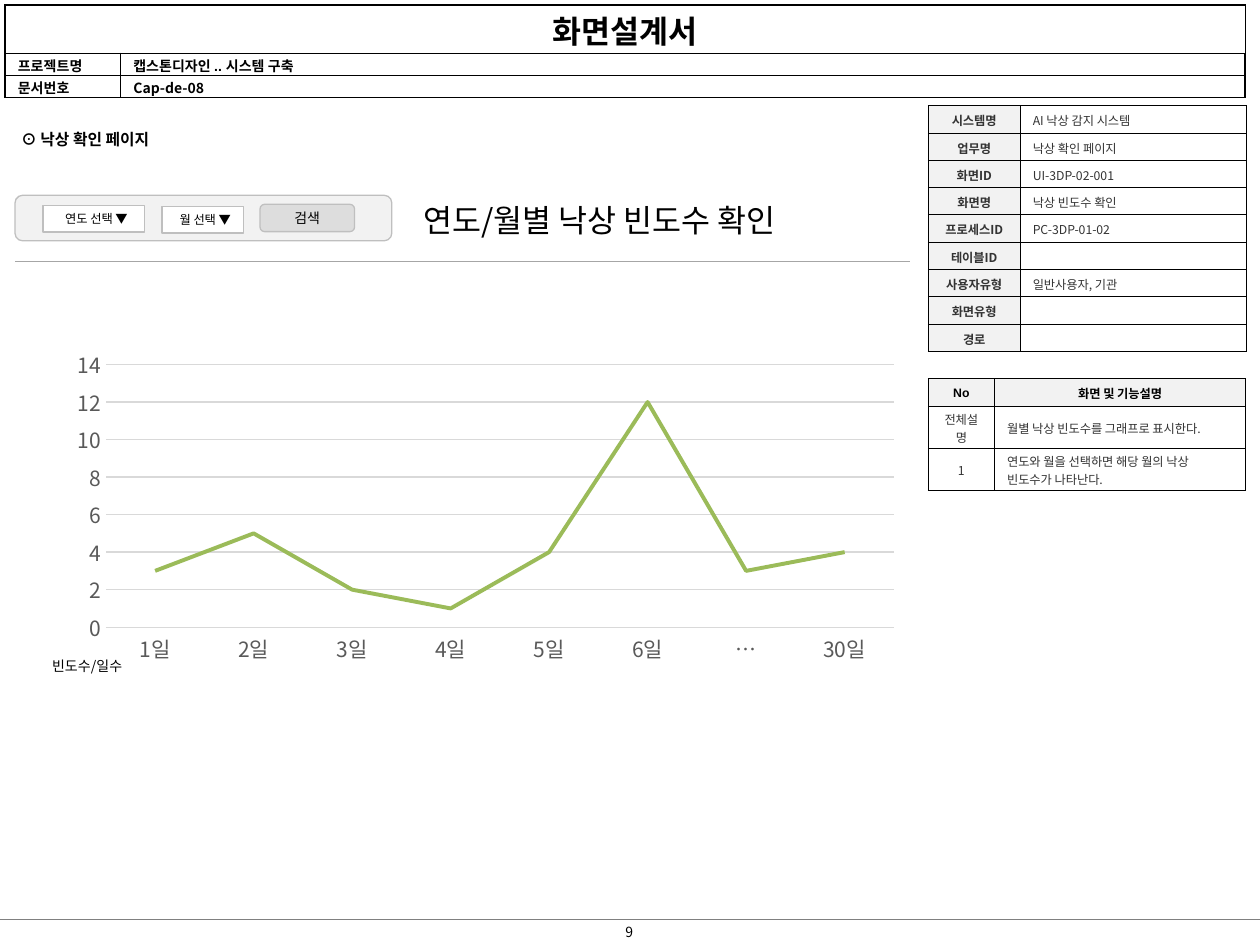
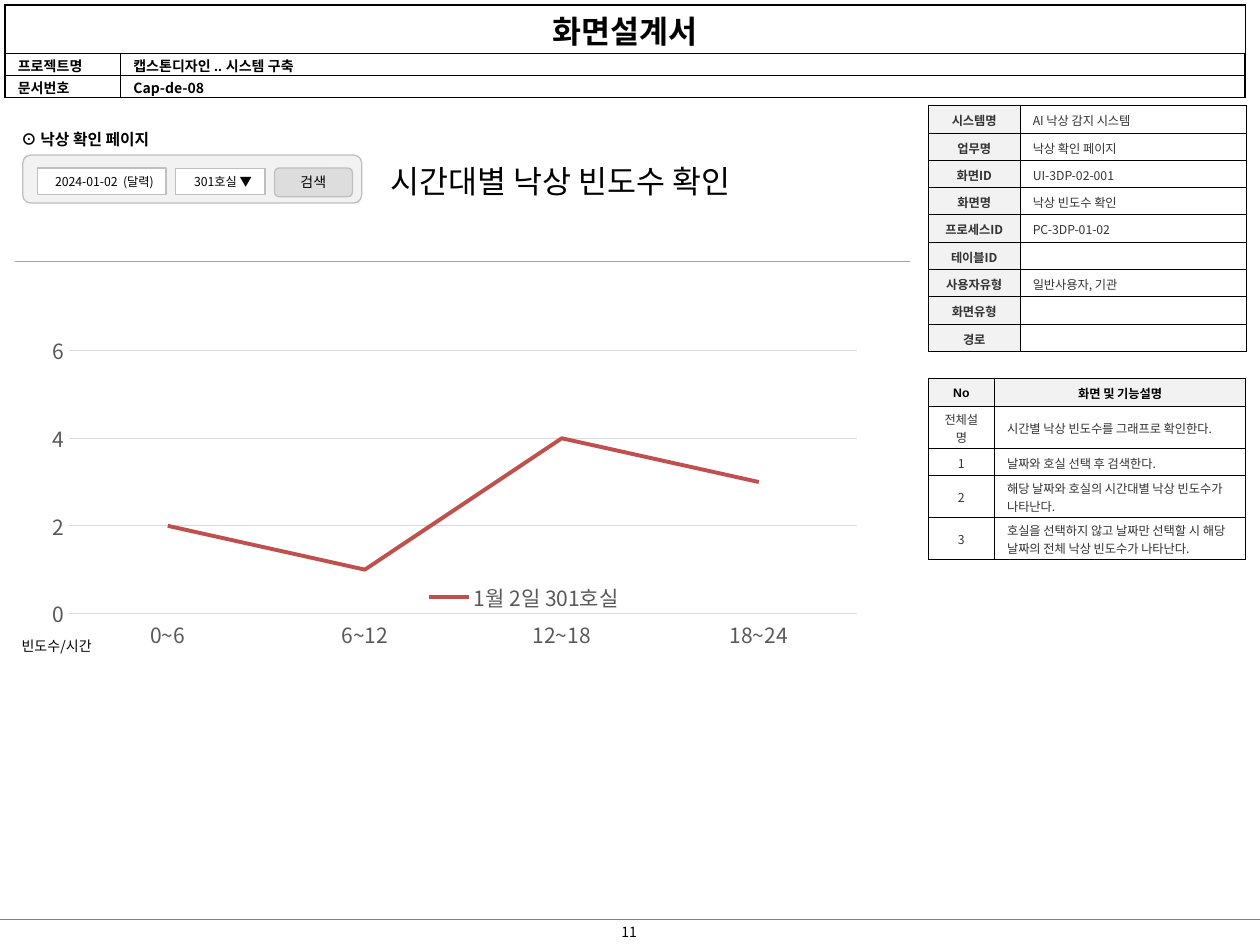
import pptx
import pptx.chart.data
import pptx.dml.color
import pptx.enum.chart
import pptx.enum.shapes
import pptx.enum.text
import pptx.oxml
import pptx.oxml.ns
import pptx.util
from lxml import etree

Pt = pptx.util.Pt
qn = pptx.oxml.ns.qn
Shape = pptx.enum.shapes.MSO_SHAPE
Align = pptx.enum.text.PP_ALIGN
Anchor = pptx.enum.text.MSO_ANCHOR
Mark = pptx.enum.chart

# Shared content and style
NOTO = "Noto Sans CJK KR"
HEX = {"ink": "000000", "text": "333333", "axis": "595959", "white": "FFFFFF",
       "panel": "F2F2F2", "button": "DDDDDD", "edge": "BFBFBF", "rule": "A6A6A6",
       "foot": "808080", "grid": "D9D9D9", "green": "9BBB59", "red": "C0504D"}
HEADER = [("화면설계서", ""), ("프로젝트명", "캡스톤디자인 .. 시스템 구축"),
          ("문서번호", "Cap-de-08")]
HEADING = "⊙ 낙상 확인 페이지"
INFO = [("시스템명", "AI 낙상 감지 시스템"), ("업무명", "낙상 확인 페이지"),
        ("화면ID", "UI-3DP-02-001"), ("화면명", "낙상 빈도수 확인"),
        ("프로세스ID", "PC-3DP-01-02"), ("테이블ID", ""),
        ("사용자유형", "일반사용자, 기관"), ("화면유형", ""), ("경로", "")]
NOTE_HEAD = ("No", "화면 및 기능설명")
ONE, TWO = 15.6, 24  # heights of table rows with one and two lines

# Content of each slide; boxes are left, top, width, height
PAGES = [
    {"number": "9",
     "title": ("연도/월별 낙상 빈도수 확인", (234.7, 111, 241, 29)),
     "panel": (8.6, 111.6, 215.3, 26),
     "picks": [("연도 선택 ▼", (24.5, 117.4, 58.3, 15.1)),
               ("월 선택 ▼", (92.6, 118, 46.4, 15.1))],
     "search": (148.6, 116.8, 54, 15.6),
     "notes": [("전체설명", "월별 낙상 빈도수를 그래프로 표시한다.", TWO),
               ("1", "연도와 월을 선택하면 해당 월의 낙상 빈도수가 나타난다.", TWO)],
     "chart": {"at": (42.5, 161.3), "name": "Series 1", "color": "green",
               "top": 14, "legend": False,
               "cats": ["1일", "2일", "3일", "4일", "5일", "6일", "…", "30일"],
               "vals": [3, 5, 2, 1, 4, 12, 3, 4]},
     "unit": ("빈도수/일수", (22.7, 372))},
    {"number": "11",
     "title": ("시간대별 낙상 빈도수 확인", (216, 89, 234, 29)),
     "panel": (13, 88.6, 193.7, 27.4),
     "picks": [("2024-01-02  (달력)", (21.4, 96, 73.6, 15.1)),
               ("301호실 ▼", (100.4, 96.2, 51.1, 15.1))],
     "search": (156.8, 96, 44.6, 16.4),
     "notes": [("전체설명", "시간별 낙상 빈도수를 그래프로 확인한다.", TWO),
               ("1", "날짜와 호실 선택 후 검색한다.", ONE),
               ("2", "해당 날짜와 호실의 시간대별 낙상 빈도수가 나타난다.", TWO),
               ("3", "호실을 선택하지 않고 날짜만 선택할 시 해당 날짜의 "
                     "전체 낙상 빈도수가 나타난다.", TWO)],
     "chart": {"at": (21.6, 153.4), "name": "1월 2일 301호실", "color": "red",
               "top": 6, "legend": True,
               "cats": ["0~6", "6~12", "12~18", "18~24"], "vals": [2, 1, 4, 3]},
     "unit": ("빈도수/시간", (5.3, 360.5))},
]


def rgb(name):
    return pptx.dml.color.RGBColor.from_string(HEX[name])


def pts(box):
    return [Pt(v) for v in box]


def write(frame, text, size=8, color="ink", bold=False, font=NOTO,
          align=Align.LEFT):
    para = frame.paragraphs[0]
    para.alignment = align
    if not text:
        para._p.get_or_add_endParaRPr().set("sz", str(size * 100))
        return
    run = para.add_run()
    run.text = text
    run.font.size, run.font.bold, run.font.name = Pt(size), bold, font
    run.font.color.rgb = rgb(color)
    east = etree.SubElement(run._r.get_or_add_rPr(), qn("a:ea"))
    east.set("typeface", NOTO)


def inset(frame, left=7.2, top=3.6, right=7.2, bottom=3.6):
    frame.margin_left, frame.margin_top = Pt(left), Pt(top)
    frame.margin_right, frame.margin_bottom = Pt(right), Pt(bottom)


def label(slide, text, box, **form):
    frame = slide.shapes.add_textbox(*pts(box)).text_frame
    frame.word_wrap = True
    write(frame, text, **form)


def block(slide, kind, box, fill):
    shape = slide.shapes.add_shape(kind, *pts(box))
    shape.shadow.inherit = False
    shape.fill.solid()
    shape.fill.fore_color.rgb = rgb(fill)
    shape.line.color.rgb = rgb("edge")
    shape.line.width = Pt(0.75)
    frame = shape.text_frame
    frame.word_wrap = True
    frame.vertical_anchor = Anchor.MIDDLE
    return frame


def rule(slide, left, right, top, color):
    line = slide.shapes.add_connector(
        pptx.enum.shapes.MSO_CONNECTOR.STRAIGHT, *pts((left, top, right, top)))
    line.line.color.rgb = rgb(color)
    line.line.width = Pt(0.75)
    etree.SubElement(line._element.spPr, qn("a:effectLst"))


def border(cell, widths):
    props = cell._tc.get_or_add_tcPr()
    for side, width in zip("LRTB", widths):
        edge = etree.SubElement(props, qn("a:ln" + side), w=str(Pt(width)))
        fill = etree.SubElement(edge, qn("a:solidFill"))
        etree.SubElement(fill, qn("a:srgbClr"), val=HEX["ink"])


def grid(slide, spot, cols, heights, rows, style, outer=0.25, inner=0.25,
         pad=(2.6, 1)):
    """Draw a table; style(row, col) gives the fill and the text format."""
    box = (*spot, sum(cols), sum(heights))
    table = slide.shapes.add_table(len(rows), len(cols), *pts(box)).table
    table.first_row = table.horz_banding = False
    for col, width in zip(table.columns, cols):
        col.width = Pt(width)
    for r, (row, height) in enumerate(zip(rows, heights)):
        table.rows[r].height = Pt(height)
        for c, text in enumerate(row):
            cell = table.cell(r, c)
            ends = (c == 0, c == len(cols) - 1, r == 0, False)
            border(cell, [outer if end else inner for end in ends])
            fill, form = style(r, c)
            cell.fill.solid()
            cell.fill.fore_color.rgb = rgb(fill)
            inset(cell, top=pad[0], bottom=pad[1])
            cell.vertical_anchor = Anchor.MIDDLE
            write(cell.text_frame, text, **form)
    return table


def head_style(r, c):
    if r == 0:
        return "white", dict(size=18, bold=True, align=Align.CENTER)
    return "white", dict(bold=True, font=NOTO if (r, c) == (2, 1) else "Arial")


def info_style(r, c):
    form = dict(size=7, color="text")
    if c == 0:
        return "panel", dict(form, bold=True, align=Align.CENTER)
    return "white", form


def note_style(r, c):
    if r == 0:
        return "panel", dict(size=7, bold=True, font="Arial", align=Align.CENTER)
    return "white", dict(size=7, color="text",
                         align=Align.LEFT if c else Align.CENTER)


def place(part, inner, **spots):
    """Give a plot area or a legend a fixed place in its chart."""
    for old in part.findall(qn("c:layout")):
        part.remove(old)
    layout = etree.Element(qn("c:layout"))
    manual = etree.SubElement(layout, qn("c:manualLayout"))
    if inner:
        etree.SubElement(manual, qn("c:layoutTarget"), val="inner")
    for axis in ("x", "y"):
        etree.SubElement(manual, qn(f"c:{axis}Mode"), val="edge")
    for key, value in spots.items():
        etree.SubElement(manual, qn("c:" + key), val=str(value))
    part.insert(0 if inner else 1, layout)


def style_font(font, size, color):
    font.size, font.name = Pt(size), NOTO
    font.color.rgb = rgb(color)


def graph(slide, at, name, color, top, legend, cats, vals):
    data = pptx.chart.data.CategoryChartData()
    data.categories = cats
    data.add_series(name, vals)
    chart = slide.shapes.add_chart(
        Mark.XL_CHART_TYPE.LINE, *pts((*at, 487.4, 237.6)), data).chart
    style_font(chart.font, 10, "ink")
    chart.has_title = False
    place(chart._chartSpace.chart.plotArea, True, x=0.037, y=0.198, w=0.924, h=0.632)
    series = chart.plots[0].series[0]
    series.smooth = False
    series.marker.style = Mark.XL_MARKER_STYLE.NONE
    series.format.line.color.rgb = rgb(color)
    series.format.line.width = Pt(2.25)
    chart.plots[0].vary_by_categories = False
    days, count = chart.category_axis, chart.value_axis
    for axis in (days, count):
        axis.major_tick_mark = axis.minor_tick_mark = Mark.XL_TICK_MARK.NONE
        style_font(axis.tick_labels.font, 12, "axis")
    count.minimum_scale, count.maximum_scale, count.major_unit = 0, top, 2
    count.format.line.fill.background()
    for line in (days.format.line, count.major_gridlines.format.line):
        line.color.rgb = rgb("grid")
        line.width = Pt(0.75)
    chart.has_legend = legend
    if legend:
        chart.legend.position = Mark.XL_LEGEND_POSITION.BOTTOM
        chart.legend.include_in_layout = False
        style_font(chart.legend.font, 12, "axis")
        place(chart.legend._element, False, x=0.43, y=0.75, w=0.28, h=0.08)


def frame_page(slide, number):
    """Header table, footer and the parts that every page shares."""
    rule(slide, 0, 720, 525.6, "foot")
    label(slide, number, (339.8, 524, 39.6, 17), align=Align.CENTER)
    table = grid(slide, (3, 3), (66, 642.5), (27.4, 12.6, 12.6), HEADER,
                 head_style, outer=1.5, inner=0.75, pad=(1, 0))
    table.cell(0, 0).merge(table.cell(0, 1))
    label(slide, HEADING, (5, 70.6, 98, 18), size=9, bold=True)
    grid(slide, (530.4, 60.3), (52.6, 129.4), [ONE] * len(INFO), INFO, info_style)
    rule(slide, 8.6, 519.8, 149.6, "rule")


def build(deck, page):
    slide = deck.slides.add_slide(deck.slide_layouts[5])
    frame_page(slide, page["number"])

    # Title
    text, box = page["title"]
    title = slide.shapes.title
    title.left, title.top, title.width, title.height = pts(box)
    title.text_frame.auto_size = pptx.enum.text.MSO_AUTO_SIZE.NONE
    inset(title.text_frame)
    write(title.text_frame, text, size=18)

    # Search bar
    block(slide, Shape.ROUNDED_RECTANGLE, page["panel"], "panel")
    for text, box in page["picks"]:
        frame = block(slide, Shape.RECTANGLE, box, "white")
        inset(frame, 5.8, 3.6, 2.9, 3.6)
        write(frame, text, size=7, align=Align.CENTER)
    frame = block(slide, Shape.FLOWCHART_ALTERNATE_PROCESS, page["search"], "button")
    inset(frame, top=0, bottom=0)
    write(frame, "검색", font="Arial", align=Align.CENTER)

    # Notes, chart and its unit
    rows = [NOTE_HEAD] + [note[:2] for note in page["notes"]]
    heights = [ONE] + [note[2] for note in page["notes"]]
    grid(slide, (530.4, 216.3), (37.9, 143.5), heights, rows, note_style)
    graph(slide, **page["chart"])
    text, spot = page["unit"]
    label(slide, text, (*spot, 66, 17))


def main():
    deck = pptx.Presentation()
    deck.slide_width, deck.slide_height = Pt(720), Pt(540)
    for page in PAGES:
        build(deck, page)
    deck.save("out.pptx")


if __name__ == "__main__":
    main()
